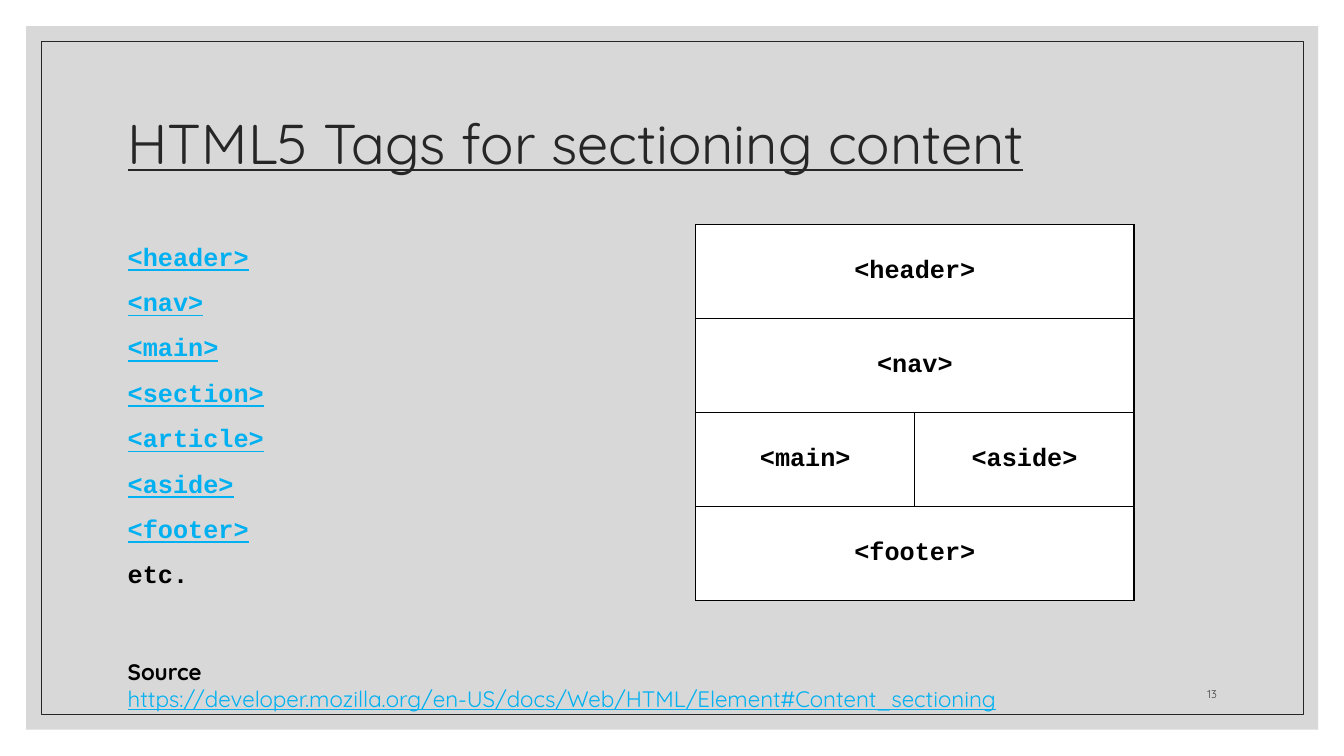
from lxml import etree
from pptx import Presentation
from pptx.dml.color import RGBColor
from pptx.enum import shapes, text
from pptx.oxml import ns
from pptx.util import Cm, Pt

SANS, MONO = "Quicksand", "Courier New"
BLACK, WHITE, DARK, LINK = "000000", "FFFFFF", "262626", "00B0F0"
TAGS = ["<header>", "<nav>", "<main>", "<section>", "<article>", "<aside>", "<footer>"]
LAYOUT_ROWS = [["<header>"], ["<nav>"], ["<main>", "<aside>"], ["<footer>"]]
SOURCE_LINK = "https://developer.mozilla.org/en-US/docs/Web/HTML/Element#Content_sectioning"


def color(value):
    return RGBColor.from_string(value)


def sub(parent, tag, **attributes):
    return etree.SubElement(parent, ns.qn(tag), attributes)


def style(para, name, size, ink, bold=False, underline=False):
    for span in para.runs:
        font = span.font
        font.name, font.size = name, Pt(size)
        font.bold, font.underline = bold, underline
        font.color.rgb = color(ink)


def add_text(page, box, content, anchor):
    """Add a wrapping text box and return its paragraphs."""
    frame = page.shapes.add_textbox(*map(Cm, box)).text_frame
    frame.word_wrap = True
    frame.vertical_anchor = anchor
    frame.text = content
    return frame.paragraphs


def add_rectangle(page, box):
    rectangle = page.shapes.add_shape(shapes.MSO_SHAPE.RECTANGLE, *map(Cm, box))
    rectangle.shadow.inherit = False
    return rectangle


def add_backdrop(page, box):
    """Draw the translucent grey panel and the thin frame inside it."""
    left, top, width, height = box
    panel = add_rectangle(page, box)
    panel.fill.solid()
    panel.fill.fore_color.rgb = color("BFBFBF")
    panel.line.fill.background()
    tint = panel.fill._xPr.find(".//" + ns.qn("a:srgbClr"))
    sub(tint, "a:alpha", val="60000")

    gap = 0.38
    border = add_rectangle(page, (left + gap, top + gap, width - 2 * gap, height - 2 * gap))
    border.fill.background()
    border.line.color.rgb = color(DARK)
    border.line.width = Pt(0.5)


def add_title(page, box):
    para = add_text(page, box, "HTML5 Tags for sectioning content", text.MSO_ANCHOR.MIDDLE)[0]
    para.line_spacing = 0.9
    style(para, SANS, 40, DARK, underline=True)


def add_tag_list(page, box):
    for para in add_text(page, box, "\n".join(TAGS + ["etc."]), text.MSO_ANCHOR.MIDDLE):
        is_tag = para.text in TAGS
        para.line_spacing = 1.5
        style(para, MONO, 18, LINK if is_tag else BLACK, bold=True, underline=is_tag)


def add_borders(cell):
    properties = cell._tc.get_or_add_tcPr()
    for position, side in enumerate(("a:lnL", "a:lnR", "a:lnT", "a:lnB")):
        line = etree.Element(ns.qn(side), {"w": str(Pt(1))})
        sub(sub(line, "a:solidFill"), "a:srgbClr", val=BLACK)
        properties.insert(position, line)


def add_page_layout(page, box):
    """Draw the table of page regions; a lone region spans both columns."""
    table = page.shapes.add_table(len(LAYOUT_ROWS), 2, *map(Cm, box)).table
    for row, regions in enumerate(LAYOUT_ROWS):
        if len(regions) == 1:
            table.cell(row, 0).merge(table.cell(row, 1))
        for column in range(2):
            cell = table.cell(row, column)
            cell.fill.solid()
            cell.fill.fore_color.rgb = color(WHITE)
            add_borders(cell)
        for column, region in enumerate(regions):
            cell = table.cell(row, column)
            cell.vertical_anchor = text.MSO_ANCHOR.MIDDLE
            cell.text_frame.text = region
            para = cell.text_frame.paragraphs[0]
            para.alignment = text.PP_ALIGN.CENTER
            style(para, MONO, 18, BLACK, bold=True)


def add_page_number(page, box):
    para = add_text(page, box, "13", text.MSO_ANCHOR.BOTTOM)[0]
    para.alignment = text.PP_ALIGN.RIGHT
    style(para, SANS, 8, "404040")


def add_source(page, box):
    heading, link = add_text(page, box, "Source\n" + SOURCE_LINK, text.MSO_ANCHOR.TOP)
    style(heading, SANS, 16, BLACK, bold=True)
    style(link, SANS, 16, LINK, underline=True)


def main():
    deck = Presentation()
    deck.slide_width, deck.slide_height = Cm(33.87), Cm(19.05)
    page = deck.slides.add_slide(deck.slide_layouts[6])
    left, width = 2.97, 27.94
    add_backdrop(page, (0.66, 0.66, 32.56, 17.73))
    add_title(page, (left, 1.78, width, 3.81))
    add_tag_list(page, (left, 4.37, width, 11.79))
    add_page_number(page, (28.58, 16.76, 2.34, 1.02))
    add_source(page, (left, 16.46, width, 1.63))
    add_page_layout(page, (17.53, 5.66, 11.05, 9.47))
    deck.save("out.pptx")


if __name__ == "__main__":
    main()
